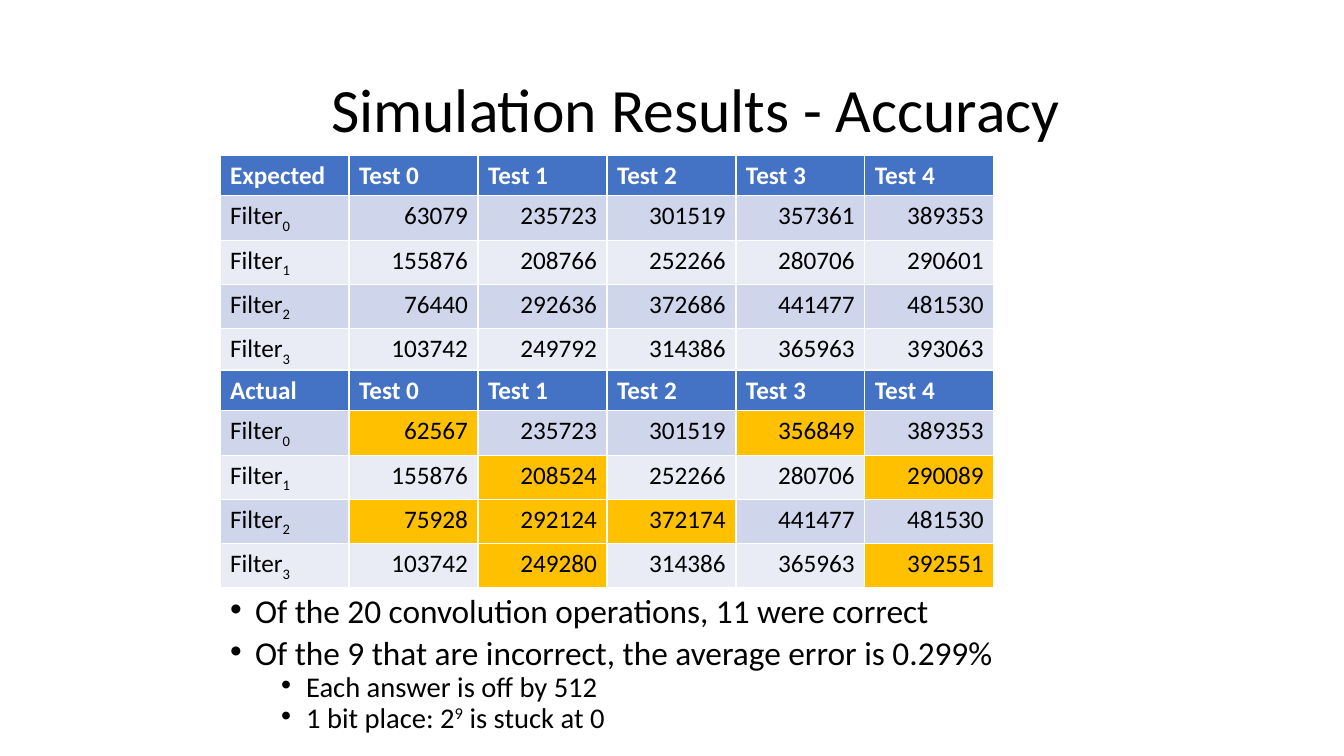
from pptx import Presentation
from pptx.dml.color import RGBColor
from pptx.enum.text import MSO_ANCHOR, MSO_AUTO_SIZE, PP_ALIGN
from pptx.oxml.ns import qn
from pptx.util import Pt
from lxml import etree

LEFT, RIGHT = PP_ALIGN.LEFT, PP_ALIGN.RIGHT
MIDDLE, TOP = MSO_ANCHOR.MIDDLE, MSO_ANCHOR.TOP
NO_AUTOFIT = MSO_AUTO_SIZE.NONE
SCALE = 914400 / 100.8
BLACK, WHITE, HEADER, ERROR = "000000", "FFFFFF", "4472C4", "FFC000"
BANDS = ["CFD5EA", "E9EBF5"]


def px(length):
    return round(length * SCALE)


def format_text(para, size, color, bold=False):
    for span in para.runs:
        span.font.name = "Calibri"
        span.font.size = Pt(size)
        span.font.bold = bold
        span.font.color.rgb = RGBColor.from_string(color)


deck = Presentation()
deck.slide_width, deck.slide_height = px(1344), px(756)
page = deck.slides.add_slide(deck.slide_layouts[1])

title, body = page.shapes.title, page.placeholders[1]
frames = [(title, 321, 40, 931, 146, MIDDLE), (body, 220, 596, 1031, 146, TOP)]
for box, left, top, width, height, anchor in frames:
    box.left, box.top, box.width, box.height = px(left), px(top), px(width), px(height)
    box.text_frame.auto_size = NO_AUTOFIT
    box.text_frame.word_wrap = True
    box.text_frame.vertical_anchor = anchor

title.text_frame.text = "Simulation Results - Accuracy"
heading = title.text_frame.paragraphs[0]
heading.alignment = LEFT
heading.line_spacing = 0.9
format_text(heading, 44, BLACK)

findings = [
    (0, ["Of the 20 convolution operations, 11 were correct"]),
    (0, ["Of the 9 that are incorrect, the average error is 0.299%"]),
    (1, ["Each answer is off by 512"]),
    (1, ["1 bit place: 2", "9", " is stuck at 0"]),
]
for number, (level, parts) in enumerate(findings):
    para = body.text_frame.paragraphs[0] if number == 0 else body.text_frame.add_paragraph()
    for part in parts:
        para.add_run().text = part
    para.level = level
    para.line_spacing = 0.7
    para.space_before = Pt([10, 5][level])
    para.space_after = Pt(0)
    format_text(para, [23.8, 20.4][level], BLACK)
    properties = para._p.get_or_add_pPr()
    properties.set("marL", str(px([25, 76][level])))
    properties.set("indent", str(px(-25)))
    etree.SubElement(properties, qn("a:buFont")).set("typeface", "Arial")
    etree.SubElement(properties, qn("a:buChar")).set("char", "•")
    if len(parts) > 1:
        para.runs[1].font._element.set("baseline", "30000")

expected = [
    [63079, 235723, 301519, 357361, 389353],
    [155876, 208766, 252266, 280706, 290601],
    [76440, 292636, 372686, 441477, 481530],
    [103742, 249792, 314386, 365963, 393063],
]
actual = [
    [62567, 235723, 301519, 356849, 389353],
    [155876, 208524, 252266, 280706, 290089],
    [75928, 292124, 372174, 441477, 481530],
    [103742, 249280, 314386, 365963, 392551],
]
for name, top, results in [("Expected", 155, expected), ("Actual", 370, actual)]:
    frame = page.shapes.add_table(5, 6, px(220), px(top), px(774), px(202))
    table = frame.table
    for column in table.columns:
        column.width = px(129)
    for row in table.rows:
        row.height = px(16)
    frame.height = px(202)

    for column in range(6):
        cell = table.cell(0, column)
        cell.text_frame.text = f"Test {column - 1}" if column else name
        cell.fill.solid()
        cell.fill.fore_color.rgb = RGBColor.from_string(HEADER)
        format_text(cell.text_frame.paragraphs[0], 18, WHITE, True)

    for index, values in enumerate(results):
        for column in range(6):
            cell = table.cell(index + 1, column)
            para = cell.text_frame.paragraphs[0]
            color = BANDS[index % 2]
            if column:
                para.text = str(values[column - 1])
                para.alignment = RIGHT
                if values[column - 1] != expected[index][column - 1]:
                    color = ERROR
            else:
                para.text = "Filter"
                subscript = para.add_run()
                subscript.text = str(index)
                subscript.font._element.set("baseline", "-25000")
            cell.fill.solid()
            cell.fill.fore_color.rgb = RGBColor.from_string(color)
            format_text(para, 18, BLACK)

deck.save("out.pptx")
